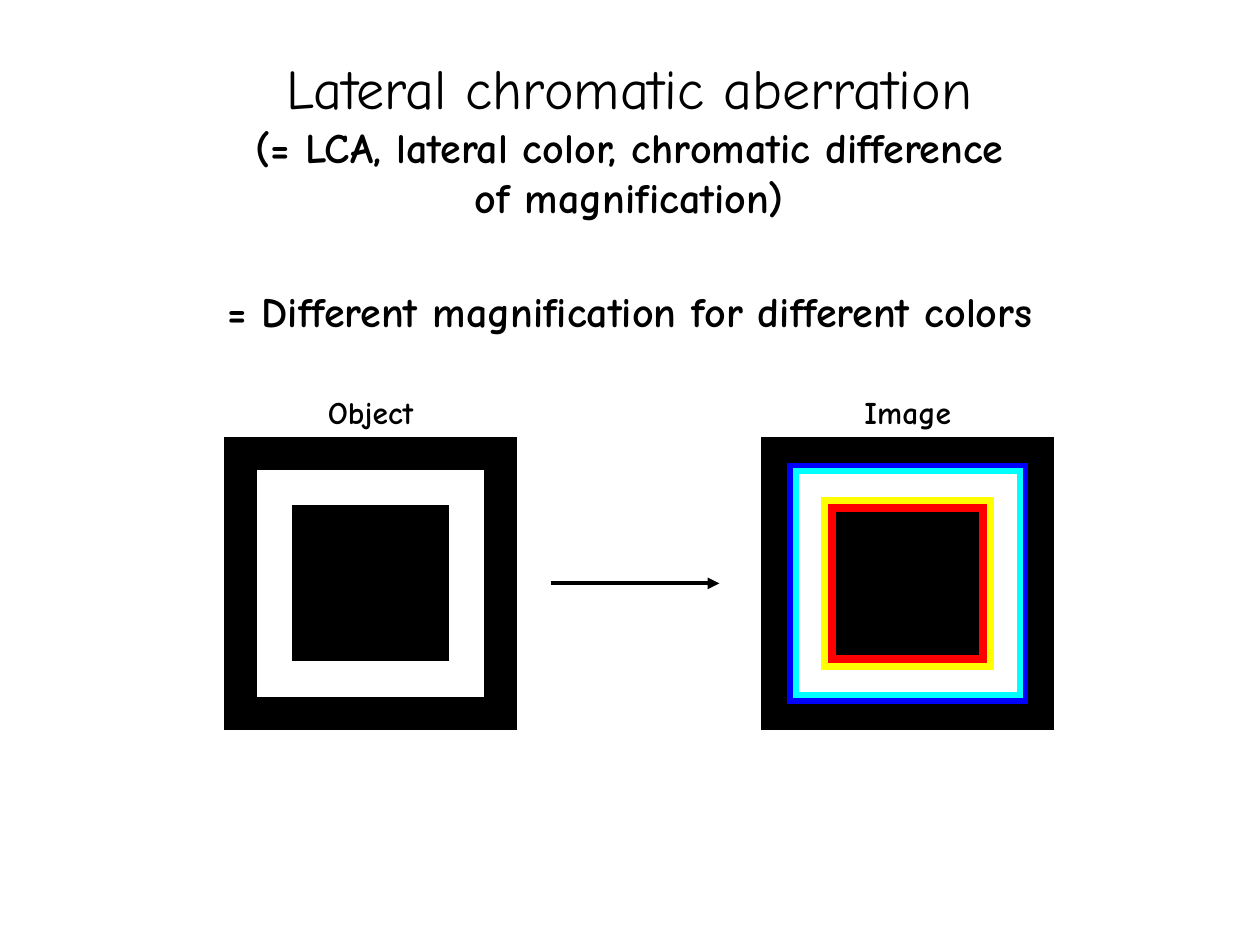
from pptx import Presentation
from pptx.dml.color import RGBColor
from pptx.enum import shapes, text
from pptx.oxml.ns import qn
from pptx.util import Cm, Pt
from lxml import etree

FONT = "Comic Neue"
BLACK = RGBColor(0, 0, 0)
WHITE = RGBColor(255, 255, 255)
BLUE = RGBColor(0, 0, 255)
CYAN = RGBColor(0, 255, 255)
YELLOW = RGBColor(255, 255, 0)
RED = RGBColor(255, 0, 0)

TITLE = "Lateral chromatic aberration"
SUBTITLE = "(= LCA, lateral color, chromatic difference of magnification)"
DEFINITION = "= Different magnification for different colors"

# Centre x in cm, then rings from back to front: side in cm, colour, line in points
TARGETS = {
    "Image": (18.3, [(4.7, BLUE, 4.5), (4.48, CYAN, 4.5), (3.86, WHITE, 15),
                     (3.33, YELLOW, 4.5), (3.05, RED, 4.5)]),
    "Object": (7.47, [(3.86, WHITE, 20)]),
}
CENTRE_Y = 11.76
TARGET_SIDE = 5.89
LABEL_TOP, LABEL_WIDTH, LABEL_HEIGHT = 7.8, 5.49, 1.07


def format_span(span, size, bold=False):
    span.font.name = FONT
    span.font.size = Pt(size)
    span.font.bold = bold
    span.font.color.rgb = BLACK


def add_text(page, words, left, top, width, height, size):
    box = page.shapes.add_textbox(Cm(left), Cm(top), Cm(width), Cm(height))
    frame = box.text_frame
    frame.word_wrap = True
    frame.auto_size = text.MSO_AUTO_SIZE.SHAPE_TO_FIT_TEXT
    para = frame.paragraphs[0]
    para.alignment = text.PP_ALIGN.CENTER
    span = para.add_run()
    span.text = words
    format_span(span, size, bold=True)


def add_square(page, centre_x, side, colour, line_width, filled=False):
    square = page.shapes.add_shape(
        shapes.MSO_SHAPE.RECTANGLE, Cm(centre_x - side / 2),
        Cm(CENTRE_Y - side / 2), Cm(side), Cm(side))
    square.shadow.inherit = False
    if filled:
        square.fill.solid()
        square.fill.fore_color.rgb = colour
    else:
        square.fill.background()
    square.line.color.rgb = colour
    square.line.width = Pt(line_width)
    etree.SubElement(square.line._get_or_add_ln(), qn("a:miter"), lim="800000")


def add_target(page, label, centre_x, rings):
    add_square(page, centre_x, TARGET_SIDE, BLACK, 0.75, filled=True)
    for side, colour, line_width in rings:
        add_square(page, centre_x, side, colour, line_width)
    add_text(page, label, centre_x - LABEL_WIDTH / 2, LABEL_TOP,
             LABEL_WIDTH, LABEL_HEIGHT, size=18)


def add_arrow(page, start_x, end_x, y):
    arrow = page.shapes.add_connector(
        shapes.MSO_CONNECTOR.STRAIGHT, Cm(start_x), Cm(y), Cm(end_x), Cm(y))
    arrow.line.color.rgb = BLACK
    arrow.line.width = Pt(2.25)
    etree.SubElement(arrow.line._get_or_add_ln(), qn("a:tailEnd"), type="triangle")
    etree.SubElement(arrow._element.spPr, qn("a:effectLst"))


def fill_title(title):
    title.left, title.top = Cm(4.5), Cm(1.19)
    title.width, title.height = Cm(16.38), Cm(3.18)
    frame = title.text_frame
    frame.word_wrap = True
    frame.auto_size = text.MSO_AUTO_SIZE.NONE
    frame.vertical_anchor = text.MSO_ANCHOR.MIDDLE
    para = frame.paragraphs[0]
    para.alignment = text.PP_ALIGN.CENTER
    heading = para.add_run()
    heading.text = TITLE
    format_span(heading, 32)
    para.add_line_break()
    synonyms = para.add_run()
    synonyms.text = SUBTITLE
    format_span(synonyms, 24, bold=True)


def main():
    deck = Presentation()
    deck.slide_width, deck.slide_height = Cm(25.4), Cm(19.05)
    page = deck.slides.add_slide(deck.slide_layouts.get_by_name("Title Only"))
    fill_title(page.shapes.title)
    add_text(page, DEFINITION, 2.9, 5.64, 19.6, 1.32, size=24)
    for label, (centre_x, rings) in TARGETS.items():
        add_target(page, label, centre_x, rings)
    add_arrow(page, 11.1, 14.5, CENTRE_Y)
    deck.save("out.pptx")


if __name__ == "__main__":
    main()
